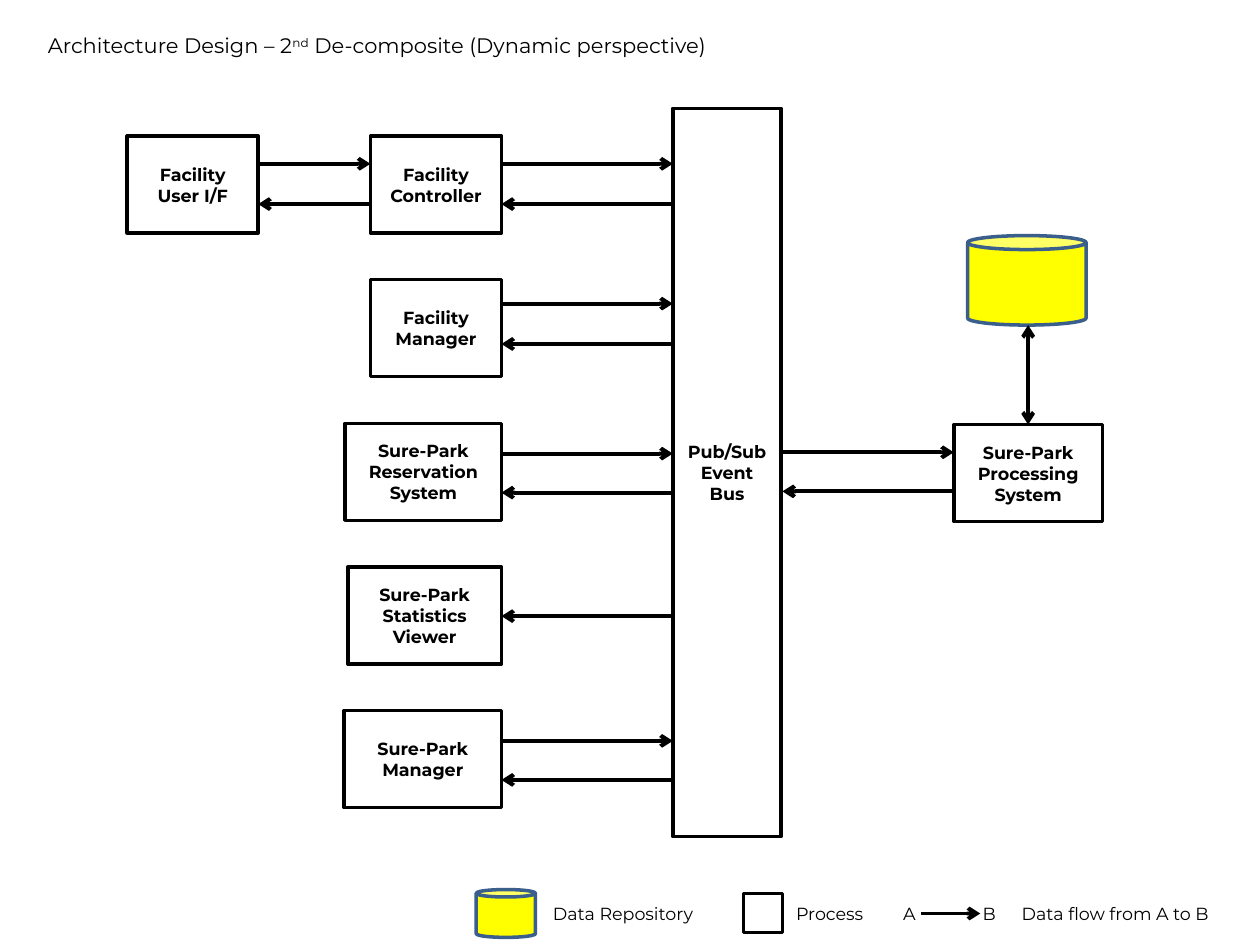
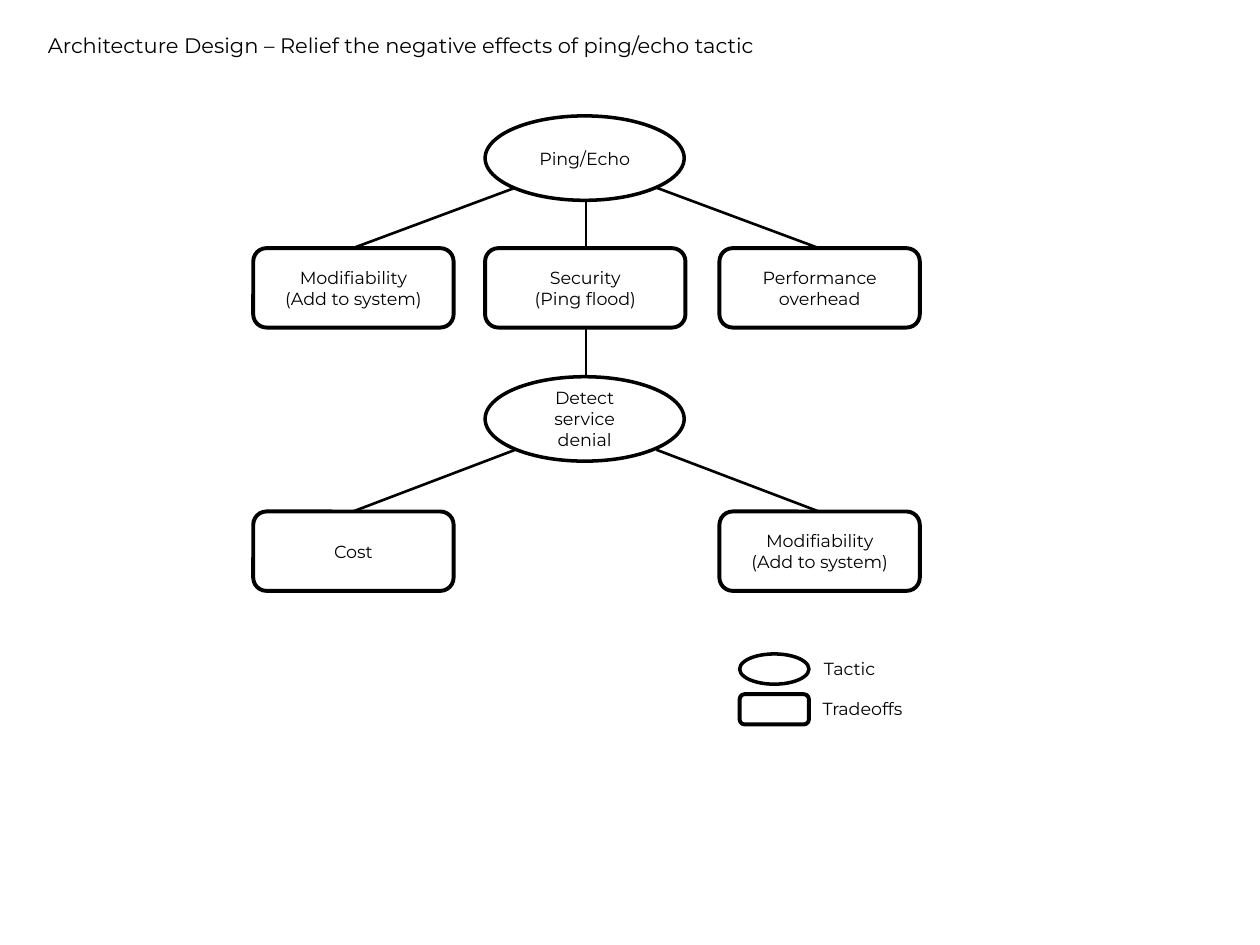
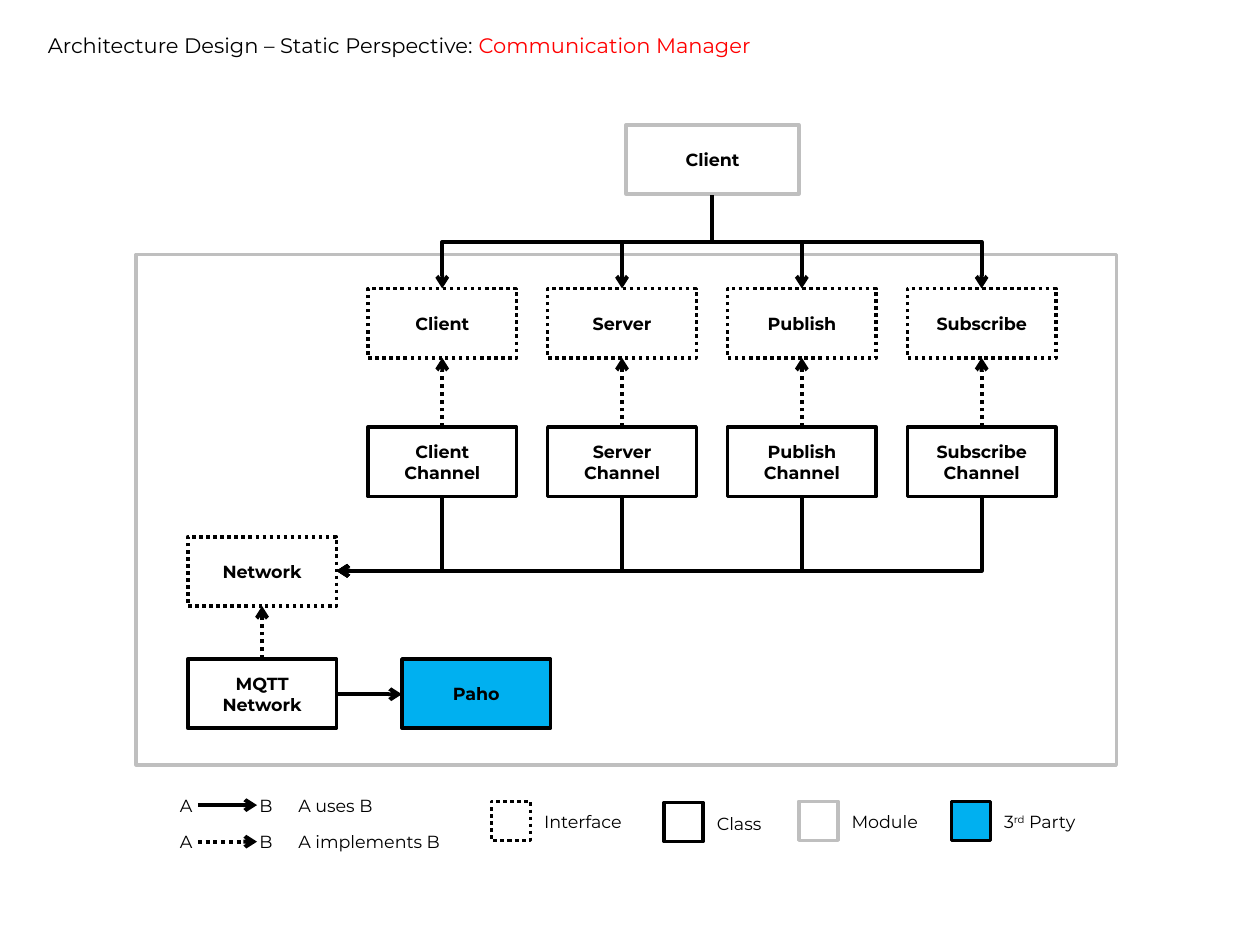
import pptx
import pptx.dml.color
import pptx.enum.dml
import pptx.enum.shapes
import pptx.enum.text
import pptx.oxml
import pptx.oxml.ns
import pptx.util

Inches = pptx.util.Inches
Points = pptx.util.Pt
RGBColor = pptx.dml.color.RGBColor
Shapes = pptx.enum.shapes.MSO_SHAPE
Connectors = pptx.enum.shapes.MSO_CONNECTOR
Align = pptx.enum.text.PP_ALIGN
Anchor = pptx.enum.text.MSO_ANCHOR
AutoSize = pptx.enum.text.MSO_AUTO_SIZE
DOTTED = pptx.enum.dml.MSO_LINE.ROUND_DOT
qn = pptx.oxml.ns.qn

BLACK = RGBColor(0x00, 0x00, 0x00)
WHITE = RGBColor(0xFF, 0xFF, 0xFF)
RED = RGBColor(0xFF, 0x00, 0x00)
GREY = RGBColor(0xBF, 0xBF, 0xBF)
YELLOW = RGBColor(0xFF, 0xFF, 0x00)
STORE_BLUE = RGBColor(0x3A, 0x5F, 0x8C)
SKY_BLUE = RGBColor(0x00, 0xB0, 0xF0)

FONT = "Montserrat"
ARROW_WIDTH = 2.25
TITLE_ONLY_LAYOUT = 5


def add_text(paragraph, text, size=10, color=BLACK, bold=False, raised=False):
    """Append one formatted run to a paragraph."""
    run = paragraph.add_run()
    run.text = text
    run.font.name = FONT
    run.font.size = Points(size)
    run.font.bold = bold
    run.font.color.rgb = color
    if raised:
        run._r.get_or_add_rPr().set("baseline", "30000")


def fit_one_line(frame, pieces, size):
    """Put (text, format) pieces on one unwrapped left-aligned line."""
    frame.word_wrap = False
    frame.auto_size = AutoSize.SHAPE_TO_FIT_TEXT
    frame.vertical_anchor = Anchor.TOP
    paragraph = frame.paragraphs[0]
    paragraph.alignment = Align.LEFT
    for text, text_format in pieces:
        add_text(paragraph, text, size=size, **text_format)


def add_titled_slide(presentation, width, *pieces):
    """Add a slide whose title follows the shared prefix."""
    layout = presentation.slide_layouts[TITLE_ONLY_LAYOUT]
    slide = presentation.slides.add_slide(layout)
    title = slide.shapes.title
    title.left, title.top = Inches(0.28), Inches(0.21)
    title.width, title.height = Inches(width), Inches(0.3)
    prefix = ("Architecture Design \u2013 ", {})
    fit_one_line(title.text_frame, [prefix, *pieces], 12)
    return slide


def add_label(slide, left, top, width, *pieces):
    """Add a small caption made of (text, format) pieces."""
    box = slide.shapes.add_textbox(
        Inches(left), Inches(top), Inches(width), Inches(0.27))
    fit_one_line(box.text_frame, pieces, 10)


def add_node(slide, left, top, width, height, text="", kind=Shapes.RECTANGLE,
             fill=None, line=BLACK, weight=2, dash=None, bold=True):
    """Add an outlined shape; each line of text is a centred paragraph."""
    shape = slide.shapes.add_shape(
        kind, Inches(left), Inches(top), Inches(width), Inches(height))
    shape.shadow.inherit = False
    if fill is None:
        shape.fill.background()
    else:
        shape.fill.solid()
        shape.fill.fore_color.rgb = fill
    shape.line.color.rgb = line
    shape.line.width = Points(weight)
    if dash is not None:
        shape.line.dash_style = dash
    frame = shape.text_frame
    frame.word_wrap = True
    frame.vertical_anchor = Anchor.MIDDLE
    if text:
        for index, words in enumerate(text.split("\n")):
            paragraph = frame.add_paragraph() if index else frame.paragraphs[0]
            paragraph.alignment = Align.CENTER
            add_text(paragraph, words, bold=bold)
    return shape


def add_repository(slide, left, top, width, height):
    """Add a yellow data store."""
    can = add_node(slide, left, top, width, height, kind=Shapes.CAN,
                   fill=YELLOW, line=STORE_BLUE)
    can.adjustments[0] = 0.156


def add_line(slide, start, end, kind=Connectors.STRAIGHT, weight=ARROW_WIDTH,
             dash=None, ends=("tailEnd",)):
    """Add a black connector with open arrowheads at the named ends."""
    connector = slide.shapes.add_connector(
        kind, Inches(start[0]), Inches(start[1]), Inches(end[0]), Inches(end[1]))
    connector.line.color.rgb = BLACK
    connector.line.width = Points(weight)
    if dash is not None:
        connector.line.dash_style = dash
    properties = connector._element.spPr
    for name in ends:
        head = pptx.oxml.ns.qn("a:" + name)
        line = properties.find(qn("a:ln"))
        line.append(line.makeelement(head, {"type": "arrow"}))
    properties.append(properties.makeelement(qn("a:effectLst"), {}))
    return connector


def add_elbow(slide, start, end, preset="bentConnector3"):
    """Add an elbow arrow that leaves its start downwards."""
    middle_x, middle_y = (start[0] + end[0]) / 2, (start[1] + end[1]) / 2
    half_run, half_drop = abs(end[0] - start[0]) / 2, (end[1] - start[1]) / 2
    rightwards = end[0] > start[0]
    side = -1 if rightwards else 1
    connector = add_line(
        slide, (middle_x - side * half_drop, middle_y - half_run),
        (middle_x + side * half_drop, middle_y + half_run), kind=Connectors.ELBOW)
    properties = connector._element.spPr
    quarter_turns = 3 if rightwards else 1
    properties.find(qn("a:xfrm")).set("rot", str(quarter_turns * 90 * 60000))
    properties.find(qn("a:prstGeom")).set("prst", preset)


def add_arrow_key(slide, left, top, meaning, width, dash=None):
    """Add a legend entry that shows an arrow from A to B."""
    add_label(slide, left, top, 0.31, ("A", {}))
    add_label(slide, left + 0.63, top, 0.31, ("B", {}))
    add_label(slide, left + 0.94, top, width, (meaning, {}))
    add_line(slide, (left + 0.24, top + 0.13), (left + 0.71, top + 0.13), dash=dash)


def add_square_key(slide, left, top, width, *pieces, **node_format):
    """Add a legend entry with a small square and its caption."""
    add_node(slide, left, top, 0.31, 0.31, **node_format)
    add_label(slide, left + 0.32, top + 0.03, width, *pieces)


def build_dynamic_view(presentation):
    """Build the event bus diagram."""
    slide = add_titled_slide(
        presentation, 5.95, ("2", {}), ("nd", {"raised": True}),
        (" De-composite (Dynamic perspective)", {}))
    bus_left, clients_right, box_height = 5.34, 3.98, 0.77
    add_node(slide, bus_left, 0.86, 0.86, 5.78, "Pub/Sub\nEvent Bus")

    # Name, box width, height of the arrow to the bus and of the one back
    clients = [
        ("Facility Controller", 1.04, 1.3, 1.62),
        ("Facility\nManager", 1.04, 2.41, 2.73),
        ("Sure-Park\nReservation\nSystem", 1.24, 3.6, 3.91),
        ("Sure-Park\nStatistics\nViewer", 1.22, None, 4.89),
        ("Sure-Park\nManager", 1.25, 5.88, 6.19),
    ]
    for row, (name, width, send_y, receive_y) in enumerate(clients):
        add_node(slide, clients_right - width, 1.08 + row * 1.14,
                 width, box_height, name)
        if send_y is not None:
            add_line(slide, (clients_right, send_y), (bus_left, send_y))
        add_line(slide, (bus_left, receive_y), (clients_right, receive_y))

    add_node(slide, 1.01, 1.08, 1.04, box_height, "Facility\nUser I/F")
    add_line(slide, (2.05, 1.3), (2.94, 1.3))
    add_line(slide, (2.94, 1.62), (2.05, 1.62))

    add_node(slide, 7.57, 3.37, 1.18, box_height, "Sure-Park\nProcessing\nSystem")
    add_line(slide, (6.21, 3.59), (7.57, 3.59))
    add_line(slide, (7.57, 3.9), (6.21, 3.9))
    add_repository(slide, 7.68, 1.87, 0.94, 0.71)
    add_line(slide, (8.16, 2.58), (8.16, 3.37), ends=("headEnd", "tailEnd"))

    add_repository(slide, 3.78, 7.06, 0.47, 0.38)
    add_label(slide, 4.29, 7.12, 1.43, ("Data Repository", {}))
    add_square_key(slide, 5.9, 7.09, 0.82, ("Process", {}))
    add_arrow_key(slide, 7.07, 7.12, "Data flow from A to B", 1.85)


def build_tactic_view(presentation):
    """Build the tree of tactics and their tradeoffs."""
    slide = add_titled_slide(
        presentation, 6.48,
        ("Relief the negative effects of ping/echo tactic", {}))
    tactic = {"kind": Shapes.OVAL, "bold": False}
    tradeoff = {"kind": Shapes.ROUNDED_RECTANGLE, "weight": 2.25, "bold": False}
    left, center, right = 2.01, 3.85, 5.71

    add_node(slide, center, 0.92, 1.58, 0.67, "Ping/Echo", **tactic)
    add_node(slide, center, 2.99, 1.58, 0.67, "Detect service denial", **tactic)
    for column, top, text in [
            (left, 1.97, "Modifiability\n(Add to system)"),
            (center, 1.97, "Security\n(Ping flood)"),
            (right, 1.97, "Performance overhead"),
            (left, 4.06, "Cost"),
            (right, 4.06, "Modifiability\n(Add to system)")]:
        add_node(slide, column, top, 1.59, 0.63, text, **tradeoff)

    for start, end in [
            ((2.8, 1.97), (4.09, 1.49)), ((4.65, 1.97), (4.65, 1.58)),
            ((6.5, 1.97), (5.21, 1.49)), ((4.65, 2.99), (4.65, 2.6)),
            ((2.8, 4.06), (4.09, 3.57)), ((6.5, 4.06), (5.21, 3.57))]:
        add_line(slide, start, end, weight=1.5, ends=())

    add_node(slide, 5.87, 5.19, 0.55, 0.24, **tactic)
    add_label(slide, 6.44, 5.17, 0.69, ("Tactic", {}))
    add_node(slide, 5.87, 5.51, 0.55, 0.24, **tradeoff)
    add_label(slide, 6.43, 5.49, 0.93, ("Tradeoffs", {}))


def build_static_view(presentation):
    """Build the class diagram of the communication manager."""
    slide = add_titled_slide(
        presentation, 6.35, ("Static Perspective: ", {}),
        ("Communication Manager", {"color": RED}))
    box = (1.18, 0.55)
    add_node(slide, 1.08, 2.02, 7.78, 4.05, line=GREY)
    add_node(slide, 4.97, 0.99, 1.37, 0.55, "Client", line=GREY)
    add_node(slide, 1.49, 4.26, *box, "Network", dash=DOTTED)
    add_node(slide, 1.49, 5.23, *box, "MQTT Network")
    add_node(slide, 3.19, 5.23, *box, "Paho", fill=SKY_BLUE)
    add_line(slide, (2.08, 5.23), (2.08, 4.81), dash=DOTTED)
    add_line(slide, (2.67, 5.51), (3.19, 5.51))

    for column, name in enumerate(["Client", "Server", "Publish", "Subscribe"]):
        left = 2.92 + column * 1.427
        middle = left + 0.59
        add_node(slide, left, 2.29, *box, name, dash=DOTTED)
        add_node(slide, left, 3.39, *box, name + " Channel")
        add_line(slide, (middle, 3.39), (middle, 2.84), dash=DOTTED)
        add_elbow(slide, (middle, 3.94), (2.67, 4.53), preset="bentConnector2")
        add_elbow(slide, (5.65, 1.55), (middle, 2.29))

    add_arrow_key(slide, 1.33, 6.26, "A uses B", 0.87)
    add_arrow_key(slide, 1.33, 6.55, "A implements B", 1.41, dash=DOTTED)
    add_square_key(slide, 3.9, 6.36, 0.9, ("Interface", {}), dash=DOTTED)
    add_square_key(slide, 5.27, 6.37, 0.62, ("Class", {}), fill=WHITE)
    add_square_key(slide, 6.34, 6.36, 0.75, ("Module", {}), line=GREY)
    add_square_key(slide, 7.55, 6.36, 0.85, ("3", {}), ("rd", {"raised": True}),
                   (" Party", {}), fill=SKY_BLUE)


def main():
    """Build the three slides and save them."""
    presentation = pptx.Presentation()
    presentation.slide_width = Inches(10)
    presentation.slide_height = Inches(7.5)
    build_dynamic_view(presentation)
    build_tactic_view(presentation)
    build_static_view(presentation)
    presentation.save("out.pptx")


main()
